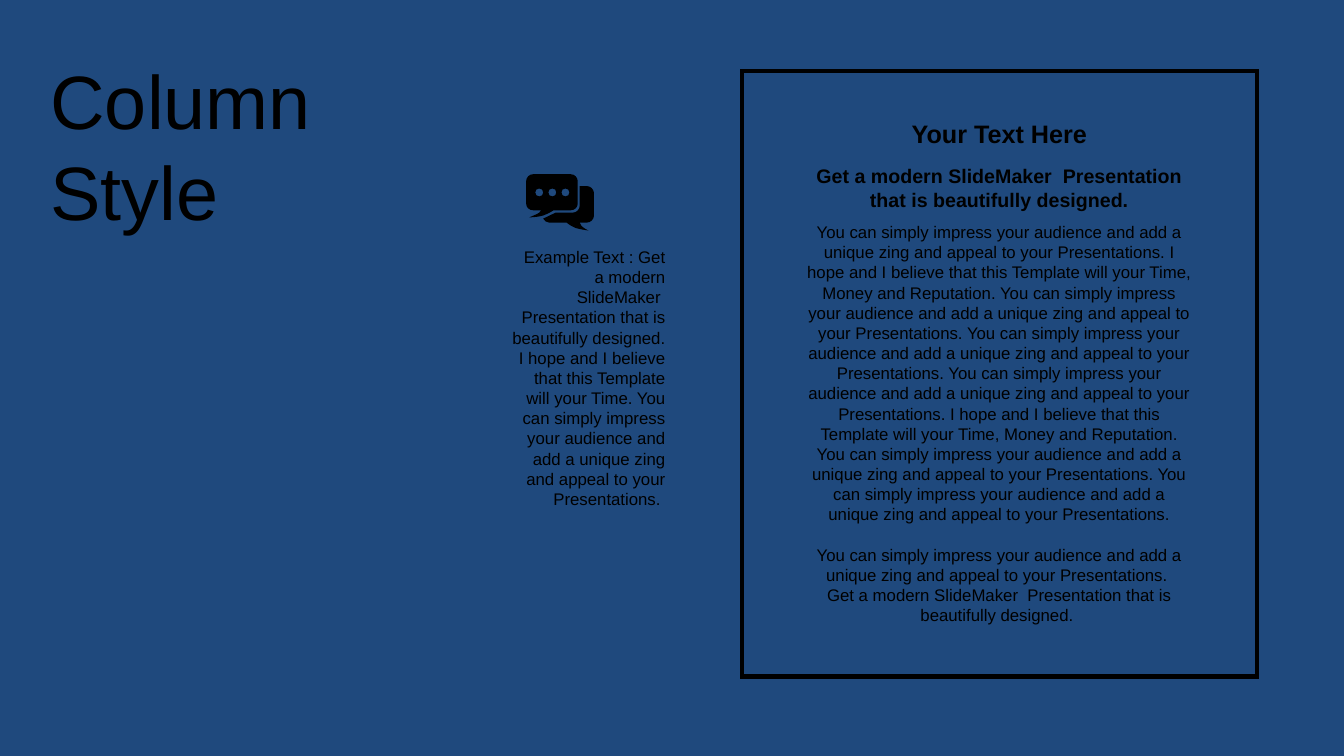
from dataclasses import dataclass

from lxml import etree
from pptx import Presentation
from pptx.dml.color import RGBColor
from pptx.enum.shapes import MSO_SHAPE
from pptx.enum.text import MSO_ANCHOR as Anchor, MSO_AUTO_SIZE as Auto, PP_ALIGN as Align
from pptx.oxml.ns import qn
from pptx.util import Cm, Pt

NAVY = RGBColor(0x1F, 0x49, 0x7D)
BLACK = RGBColor(0, 0, 0)
FONT = "Arial"

Point = tuple[int, int]

IMPRESS = ("You can simply impress your audience and add a unique zing "
           "and appeal to your Presentations.")
MODERN = "Get a modern SlideMaker  Presentation that is beautifully designed."
HOPE = "I hope and I believe that this Template will your Time"
REPUTATION = f"{HOPE}, Money and Reputation."


@dataclass(frozen=True)
class TextBlock:
    box: tuple[float, float, float, float]
    paragraphs: tuple[str, ...]
    size: float
    align: Align = Align.CENTER
    bold: bool = False
    anchor: Anchor = Anchor.TOP
    inset: tuple[float, float] = (0.25, 0.13)
    gaps: tuple[float, ...] = ()


@dataclass(frozen=True)
class Contour:
    start: Point
    segments: tuple[tuple[Point, ...], ...]


TITLE = TextBlock((1.02, 1.21, 7.95, 4.88), ("Column Style",), 54, Align.LEFT,
                  anchor=Anchor.MIDDLE)
EXAMPLE = TextBlock((12.7, 5.99, 4.27, 7.06),
                    (f"Example Text : {MODERN} {HOPE}. {IMPRESS} ",), 12,
                    Align.RIGHT, anchor=Anchor.MIDDLE, inset=(0.2, 0.2))
COLUMN = (
    TextBlock((20.09, 2.84, 10.19, 1.02), ("Your Text Here",), 18, bold=True),
    TextBlock((20.09, 5.46, 10.19, 10.52),
              (" ".join([IMPRESS, REPUTATION] + [IMPRESS] * 3
                        + [REPUTATION] + [IMPRESS] * 2),
               f"{IMPRESS} ", f"{MODERN} "), 12, gaps=(0, 14.4, 0)),
    TextBlock((20.09, 4.01, 10.19, 1.45), (MODERN,), 14, bold=True),
)

FRAME_BOX = (18.7, 1.79, 12.97, 15.26)
ICON_LEFT, ICON_TOP = Cm(13.26), Cm(4.39)
BACK_BUBBLE = Contour((135, 30), (
    ((153, 30),), ((162, 30), (171, 38), (171, 48)),
    ((171, 104),), ((171, 114), (162, 122), (153, 122)),
    ((135, 122),), ((137, 127), (137, 132), (157, 142)),
    ((124, 137), (119, 135), (102, 122)),
    ((58, 122),), ((51, 122), (46, 117), (43, 112)),
    ((53, 107), (64, 102), (74, 97)),
    ((117, 97),), ((127, 97), (135, 89), (135, 79)),
    ((135, 30),),
))
FRONT_BUBBLE = Contour((18, 0), (
    ((112, 0),), ((122, 0), (130, 8), (130, 18)),
    ((130, 74),), ((130, 84), (122, 91), (112, 91)),
    ((69, 91),), ((48, 104), (41, 107), (8, 109)),
    ((28, 99), (30, 102), (38, 91)),
    ((18, 91),), ((8, 91), (0, 84), (0, 74)),
    ((0, 18),), ((0, 8), (8, 0), (18, 0)),
))
DOT_CENTRES = [(33 * i, 46) for i in (1, 2, 3)]
DOT_RADIUS, DOT_HANDLE = 10, 6


def set_attrs(obj, values: dict) -> None:
    for name, value in values.items():
        setattr(obj, name, value)


def place(sp, box: tuple[float, float, float, float]) -> None:
    set_attrs(sp, dict(zip(("left", "top", "width", "height"), map(Cm, box))))


def write(sp, block: TextBlock) -> None:
    tf = sp.text_frame
    side, end = map(Cm, block.inset)
    set_attrs(tf, {"word_wrap": True, "auto_size": Auto.SHAPE_TO_FIT_TEXT,
                   "vertical_anchor": block.anchor,
                   "margin_left": side, "margin_right": side,
                   "margin_top": end, "margin_bottom": end})
    gaps = block.gaps or (0,) * len(block.paragraphs)
    for i, (text, gap) in enumerate(zip(block.paragraphs, gaps)):
        p = tf.add_paragraph() if i else tf.paragraphs[0]
        set_attrs(p, {"alignment": block.align, "space_before": Pt(gap)})
        r = p.add_run()
        r.text = text
        set_attrs(r.font, {"name": FONT, "size": Pt(block.size), "bold": block.bold})
        r.font.color.rgb = BLACK


def add_text(shapes, block: TextBlock) -> None:
    sp = shapes.add_textbox(*map(Cm, block.box))
    write(sp, block)


def dot(centre: Point) -> Contour:
    x, y = centre
    r, h = DOT_RADIUS, DOT_HANDLE
    turns = ((1, 0), (0, 1), (-1, 0), (0, -1), (1, 0))
    segments = tuple(
        ((x + r * a + h * c, y + r * b + h * d),
         (x + r * c + h * a, y + r * d + h * b),
         (x + r * c, y + r * d))
        for (a, b), (c, d) in zip(turns, turns[1:]))
    return Contour((x + r, y), segments)


def curve_segments(sp, contours: list[Contour]) -> None:
    segments = [seg for contour in contours for seg in contour.segments]
    lines = list(sp._element.iter(qn("a:lnTo")))
    for line, seg in zip(lines, segments):
        if len(seg) == 3:
            curve = etree.Element(qn("a:cubicBezTo"))
            for x, y in seg:
                etree.SubElement(curve, qn("a:pt"), x=str(x), y=str(y))
            line.getparent().replace(line, curve)


def add_icon(shapes) -> None:
    contours = [*map(dot, DOT_CENTRES), BACK_BUBBLE, FRONT_BUBBLE]
    fb = shapes.build_freeform(*contours[0].start, scale=Cm(1) / 100)
    for i, contour in enumerate(contours):
        if i:
            fb.move_to(*contour.start)
        fb.add_line_segments([seg[-1] for seg in contour.segments], close=True)
    sp = fb.convert_to_shape(ICON_LEFT, ICON_TOP)
    place(sp, (13.26, 4.39, 1.71, 1.42))
    curve_segments(sp, contours)
    sp.shadow.inherit = False
    sp.fill.solid()
    sp.fill.fore_color.rgb = BLACK
    sp.line.fill.background()


def add_frame(shapes) -> None:
    sp = shapes.add_shape(MSO_SHAPE.RECTANGLE, *map(Cm, FRAME_BOX))
    sp.shadow.inherit = False
    sp.fill.background()
    sp.line.color.rgb = BLACK
    sp.line.width = Pt(3)
    ln = sp._element.spPr.find(qn("a:ln"))
    etree.SubElement(ln, qn("a:miter"), lim="800000")


prs = Presentation()
set_attrs(prs, {"slide_width": Cm(33.87), "slide_height": Cm(19.05)})
s = prs.slides.add_slide(prs.slide_layouts[5])
s.background.fill.solid()
s.background.fill.fore_color.rgb = NAVY

place(s.shapes.title, TITLE.box)
write(s.shapes.title, TITLE)
add_text(s.shapes, EXAMPLE)
column = s.shapes.add_group_shape()
for block in COLUMN:
    add_text(column.shapes, block)
add_frame(s.shapes)
add_icon(s.shapes)
prs.save("out.pptx")
